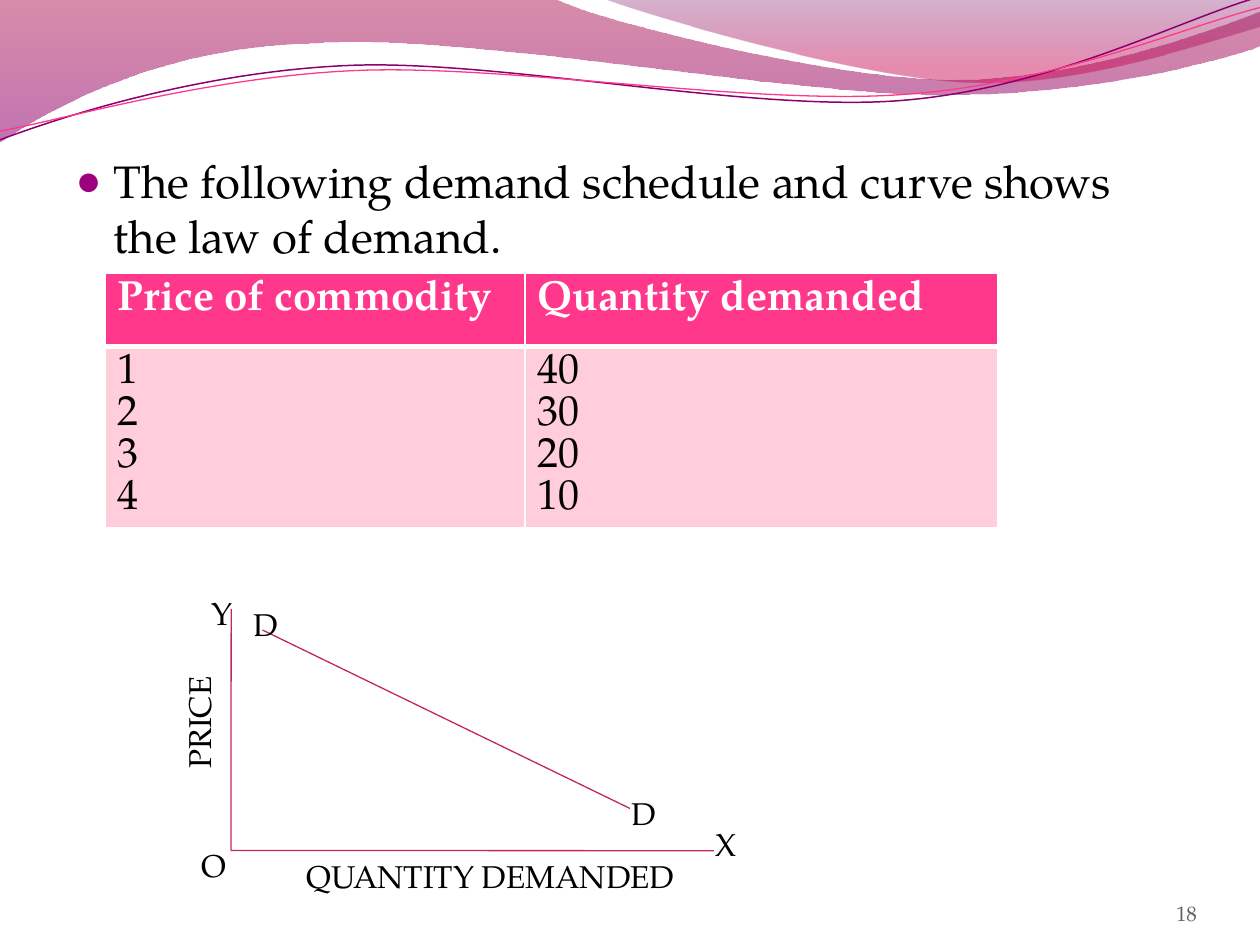
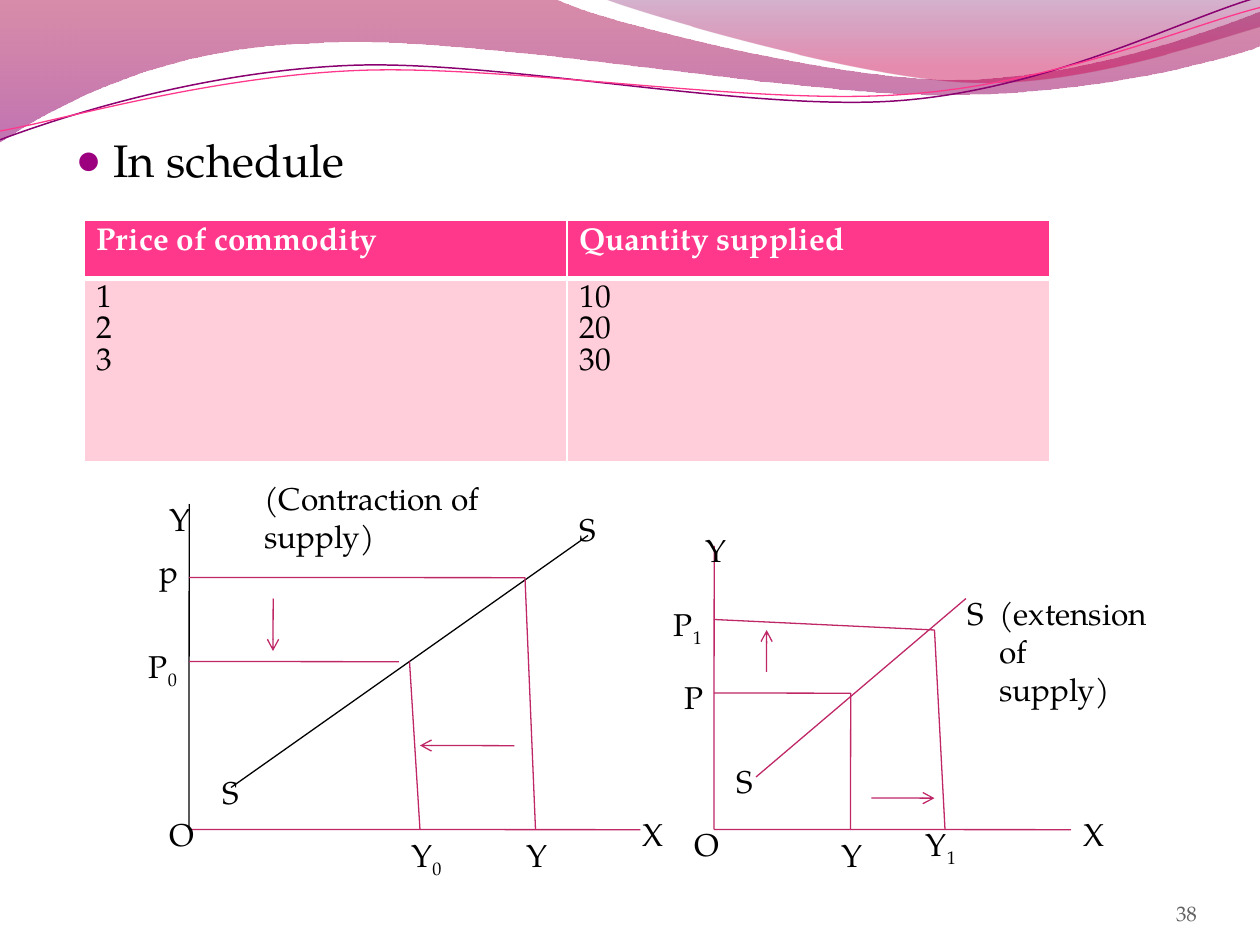
"""Build two slides on demand and supply schedules with their curves."""
import dataclasses
import typing

import lxml.etree
import pptx
import pptx.dml.color
import pptx.enum.shapes
import pptx.enum.text
import pptx.oxml.ns
import pptx.slide
import pptx.util

FONT = "TeX Gyre Pagella"
COLS, ROWS = 120, 90
SKEW = 0.02
WIDE, TALL = pptx.util.Inches(10), pptx.util.Inches(7.5)
HUES = {
    "black": "000000", "white": "FFFFFF", "gray": "616161", "line": "BF2767",
    "head": "FF388C", "cell": "FFCEDA", "dot": "9C007F", "plum": "8A0070",
    "rose": "A90042", "grape": "8E0073", "wine": "73005E", "cherry": "C9004F",
}
qn = pptx.oxml.ns.qn
Tint = tuple[str, int, int]


@dataclasses.dataclass(frozen=True)
class Wave:
    steps: tuple[tuple[float, ...], ...]
    tints: tuple[Tint, ...] = ()
    line: str = ""
    size: float = 0


@dataclasses.dataclass(frozen=True)
class Line:
    x: float
    y: float
    to_x: float
    to_y: float
    hue: str = "line"
    head: bool = False


@dataclasses.dataclass(frozen=True)
class Tag:
    text: str
    x: float
    y: float
    w: float = 4.4
    h: float = 4.8
    sub: str = ""
    turn: int = 0


@dataclasses.dataclass(frozen=True)
class Grid:
    x: float
    y: float
    cols: tuple[float, ...]
    rows: tuple[float, ...]
    size: int
    heads: tuple[str, ...]
    lists: tuple[str, ...]


@dataclasses.dataclass(frozen=True)
class Page:
    lead: str
    top: float
    deep: float
    num: str
    grid: Grid
    lines: tuple[Line, ...]
    tags: tuple[Tag, ...]


WAVES = (
    Wave(((0, 0), (44, -0.1), (47.6, 1.7, 66.4, 6.3, 75.8, 6.3),
          (85.3, 6.3, 95.8, 2.6, 100, 0.9), (100.1, 3.6),
          (98.3, 4.4, 87, 7.6, 74.6, 7.5), (62.2, 7.5, 38.2, 2.8, 25.7, 3.4),
          (12.9, 3.6, 4.6, 8.3, -0.1, 11.3), (0, 0)),
         (("rose", 0, 45), ("grape", 100, 55))),
    Wave(((47.9, -0.1), (50.9, 1.1, 68.2, 6.2, 76.9, 6.5),
          (85.6, 6.9, 96.1, 3.2, 100, 2.1), (100, 0), (47.9, -0.1)),
         (("wine", 0, 30), ("cherry", 80, 45))),
    Wave(((0, 11.1), (4.8, 9.3, 15.8, 5.7, 27.7, 5.2),
          (39.5, 4.7, 59.3, 8.9, 71.3, 8), (83.3, 7.1, 93.8, 1.5, 99.8, -0.2)),
         line="plum", size=0.85),
    Wave(((0, 10.4), (4.7, 9.6, 16.4, 6.1, 28.3, 5.6),
          (40.3, 5.1, 59.7, 8.4, 71.7, 7.5), (83.6, 6.7, 94.1, 2.1, 100, 0.6)),
         line="head", size=0.75),
)

PAGES = (
    Page("The following demand schedule and curve shows the law of demand.",
         14, 69, "18",
         Grid(10, 26, (40, 45), (7, 17.25), 24,
              ("Price of commodity", "Quantity demanded"),
              ("1 2 3 4", "40 30 20 10")),
         (Line(22, 58, 22, 81), Line(22, 81, 68, 81), Line(25, 60, 60, 77)),
         (Tag("X", 67, 78), Tag("Y", 19, 56), Tag("D", 59, 75, 8.4),
          Tag("D", 23, 57, 3.5), Tag("O", 18, 80, 5.4),
          Tag("QUANTITY DEMANDED", 28, 81, 39),
          Tag("PRICE", 11.9, 64.9, 14.2, turn=270))),
    Page("In schedule", 12, 72, "38",
         Grid(8, 21, (46, 46), (5.5, 17.5), 18,
              ("Price of commodity", "Quantity supplied"),
              ("1 2 3", "10 20 30")),
         (Line(18, 48, 18, 79, "black"), Line(18, 79, 61, 79),
          Line(22, 75, 56, 51, "black"), Line(18, 55, 50, 55),
          Line(50, 55, 51, 79), Line(18, 63, 38, 63), Line(39, 63, 40, 79),
          Line(26, 57, 26, 62, head=True), Line(49, 71, 40, 71, head=True),
          Line(68, 52, 68, 79), Line(68, 79, 102, 79), Line(72, 74, 92, 57),
          Line(68, 66, 81, 66), Line(81, 66, 81, 79), Line(68, 59, 89, 60),
          Line(89, 60, 90, 79), Line(83, 76, 89, 76, head=True),
          Line(73, 64, 73, 60, head=True)),
         (Tag("X", 60, 77, 3.5), Tag("Y", 15, 47, 4), Tag("O", 15, 77, 6.8),
          Tag("S", 54, 48, 5.4), Tag("S", 20, 73), Tag("p", 14, 52, 4),
          Tag("P", 13, 61, 6, sub="0"), Tag("Y", 38, 79, 6, sub="0"),
          Tag("Y", 49, 79), Tag("Y", 66, 50, 3.5), Tag("X", 102, 77, 7),
          Tag("O", 65, 78, 5.4), Tag("S", 91, 56), Tag("S", 69, 72, 5.4),
          Tag("P", 63, 57, 7, sub="1"), Tag("P", 64, 64, 3.5),
          Tag("Y", 79, 79), Tag("Y", 87, 78, 6.5, sub="1"),
          Tag("(extension of\vsupply)", 94, 56, 17, 8.5),
          Tag("(Contraction of supply)", 24, 45, 29, 8.5))),
)


def col(num: float) -> pptx.util.Emu:
    """Turn grid columns into a length."""
    return pptx.util.Emu(round(num * WIDE / COLS))


def row(num: float) -> pptx.util.Emu:
    """Turn grid rows into a length."""
    return pptx.util.Emu(round(num * TALL / ROWS))


def share(num: float) -> int:
    """Turn hundredths of the slide's width into a length."""
    return round(num * WIDE / 100)


def rgb(hue: str) -> pptx.dml.color.RGBColor:
    """Look up a colour by name."""
    return pptx.dml.color.RGBColor.from_string(HUES[hue])


def form(item: typing.Any, **vals: typing.Any) -> None:
    """Set each format value on an item."""
    for key, val in vals.items():
        setattr(item, key, val)


def ink(font: typing.Any, size: float, hue: str = "black", **vals: typing.Any) -> None:
    """Give a font the shared face, a size and a colour."""
    form(font, name=FONT, size=pptx.util.Pt(size), **vals)
    font.color.rgb = rgb(hue)


def node(top: typing.Any, name: str, **vals: str) -> typing.Any:
    """Add a drawing element with its values."""
    return lxml.etree.SubElement(top, qn(f"a:{name}"), vals)


def bend(shape: typing.Any, steps: tuple[tuple[float, ...], ...],
         left: int, top: int) -> None:
    """Turn each segment that has control points into a curve."""
    for seg, step in zip(list(shape.element.spPr.iter(qn("a:lnTo"))), steps[1:]):
        if len(step) == 2:
            continue
        seg.tag = qn("a:cubicBezTo")
        for spot, (x, y) in enumerate((step[:2], step[2:4])):
            dot = node(seg, "pt", x=str(share(x) - left), y=str(share(y) - top))
            seg.insert(spot, dot)


def draw_wave(slide: pptx.slide.Slide, wave: Wave) -> typing.Any:
    """Draw one wave of the top band and return its element."""
    dots = [(share(step[-2]), share(step[-1])) for step in wave.steps]
    pen = slide.shapes.build_freeform(*dots[0], scale=1.0)
    pen.add_line_segments(dots[1:], close=bool(wave.tints))
    shape = pen.convert_to_shape()
    bend(shape, wave.steps, pen.shape_offset_x, pen.shape_offset_y)
    shape.shadow.inherit = False
    if wave.tints:
        shape.line.fill.background()
        shape.fill.gradient()
        shape.fill.gradient_angle = 270
        for stop, (hue, spot, _) in zip(shape.fill.gradient_stops, wave.tints):
            stop.color.rgb = rgb(hue)
            stop.position = spot / 100
        marks = shape.element.spPr.iter(qn("a:srgbClr"))
        for mark, (_, _, show) in zip(marks, wave.tints):
            node(mark, "alpha", val=str(show * 1000))
    else:
        shape.fill.background()
        shape.line.color.rgb = rgb(wave.line)
        shape.line.width = pptx.util.Pt(wave.size)
    return shape.element


def draw_lead(slide: pptx.slide.Slide, page: Page) -> None:
    """Fill the body with its one bullet."""
    title, body = slide.placeholders
    title.element.getparent().remove(title.element)
    form(body, left=col(6), top=row(page.top), width=col(108), height=row(page.deep))
    body.text_frame.text = page.lead
    para = body.text_frame.paragraphs[0]
    props = para._p.get_or_add_pPr()
    props.set("marL", str(col(3.6)))
    props.set("indent", str(-col(3.6)))
    node(node(props, "buClr"), "srgbClr", val=HUES["dot"])
    node(props, "buSzPct", val="95000")
    node(props, "buChar", char="●")
    para.space_before = pptx.util.Pt(0)
    ink(para.runs[0].font, 26)


def draw_grid(slide: pptx.slide.Slide, grid: Grid) -> None:
    """Draw a schedule with a head row and a row of lists."""
    table = slide.shapes.add_table(
        2, len(grid.cols), col(grid.x), row(grid.y),
        col(sum(grid.cols)), row(sum(grid.rows))).table
    table.horz_banding = False
    for item, size in zip(table.columns, grid.cols):
        item.width = col(size)
    for item, size in zip(table.rows, grid.rows):
        item.height = row(size)
    for level, texts in enumerate((grid.heads, grid.lists)):
        for place, text in enumerate(texts):
            cell = table.cell(level, place)
            cell.text = text.replace(" ", "\n") if level else text
            cell.fill.solid()
            cell.fill.fore_color.rgb = rgb("cell" if level else "head")
            for para in cell.text_frame.paragraphs:
                para.line_spacing = pptx.util.Pt(grid.size)
                ink(para.runs[0].font, grid.size,
                    "black" if level else "white", bold=not level)
            props = cell._tc.get_or_add_tcPr()
            thick = "lnT" if level else "lnB"
            for spot, side in enumerate(("lnL", "lnR", "lnT", "lnB")):
                size = pptx.util.Pt(3 if side == thick else 1)
                edge = node(props, side, w=str(size))
                node(node(edge, "solidFill"), "srgbClr", val=HUES["white"])
                props.insert(spot, edge)


def draw_line(slide: pptx.slide.Slide, line: Line) -> None:
    """Draw an axis, a curve or an arrow, with flat ones skewed by a hair."""
    up = SKEW if line.x == line.to_x else 0
    flat = SKEW if line.y == line.to_y else 0
    wire = slide.shapes.add_connector(
        pptx.enum.shapes.MSO_CONNECTOR.STRAIGHT,
        col(line.x + up * (line.y < line.to_y)),
        row(line.y + flat * (line.x > line.to_x)),
        col(line.to_x + up * (line.y > line.to_y)),
        row(line.to_y + flat * (line.x < line.to_x)))
    wire.line.color.rgb = rgb(line.hue)
    wire.line.width = pptx.util.Pt(0.75)
    if line.head:
        node(wire.line._get_or_add_ln(), "tailEnd", type="arrow")
    node(wire.element.spPr, "effectLst")


def draw_tag(slide: pptx.slide.Slide, tag: Tag, size: int = 18,
             hue: str = "black") -> typing.Any:
    """Write a label and return its box."""
    box = slide.shapes.add_textbox(col(tag.x), row(tag.y), col(tag.w), row(tag.h))
    box.rotation = tag.turn
    form(box.text_frame, word_wrap=True,
         auto_size=pptx.enum.text.MSO_AUTO_SIZE.SHAPE_TO_FIT_TEXT)
    para = box.text_frame.paragraphs[0]
    para.text = tag.text
    if tag.sub:
        low = para.add_run()
        low.text = tag.sub
        low._r.get_or_add_rPr().set("baseline", "-25000")
    for run in para.runs:
        ink(run.font, size, hue)
    return box


def draw_num(slide: pptx.slide.Slide, num: str) -> None:
    """Write the page number at the lower right."""
    frame = draw_tag(slide, Tag(num, 104, 83.4, 10), 12, "gray").text_frame
    form(frame, margin_left=0, margin_right=0, margin_top=0, margin_bottom=0,
         auto_size=pptx.enum.text.MSO_AUTO_SIZE.NONE,
         vertical_anchor=pptx.enum.text.MSO_ANCHOR.BOTTOM)
    frame.paragraphs[0].alignment = pptx.enum.text.PP_ALIGN.RIGHT


def main() -> None:
    """Build and save the deck."""
    deck = pptx.Presentation()
    form(deck, slide_width=WIDE, slide_height=TALL)
    slides = [deck.slides.add_slide(deck.slide_layouts[1]) for _ in PAGES]
    for spot, wave in enumerate(WAVES, 2):
        deck.slide_master.shapes.element.insert(spot, draw_wave(slides[0], wave))
    for slide, page in zip(slides, PAGES):
        draw_lead(slide, page)
        draw_grid(slide, page.grid)
        for line in page.lines:
            draw_line(slide, line)
        for tag in page.tags:
            draw_tag(slide, tag)
        draw_num(slide, page.num)
    deck.save("out.pptx")


if __name__ == "__main__":
    main()
